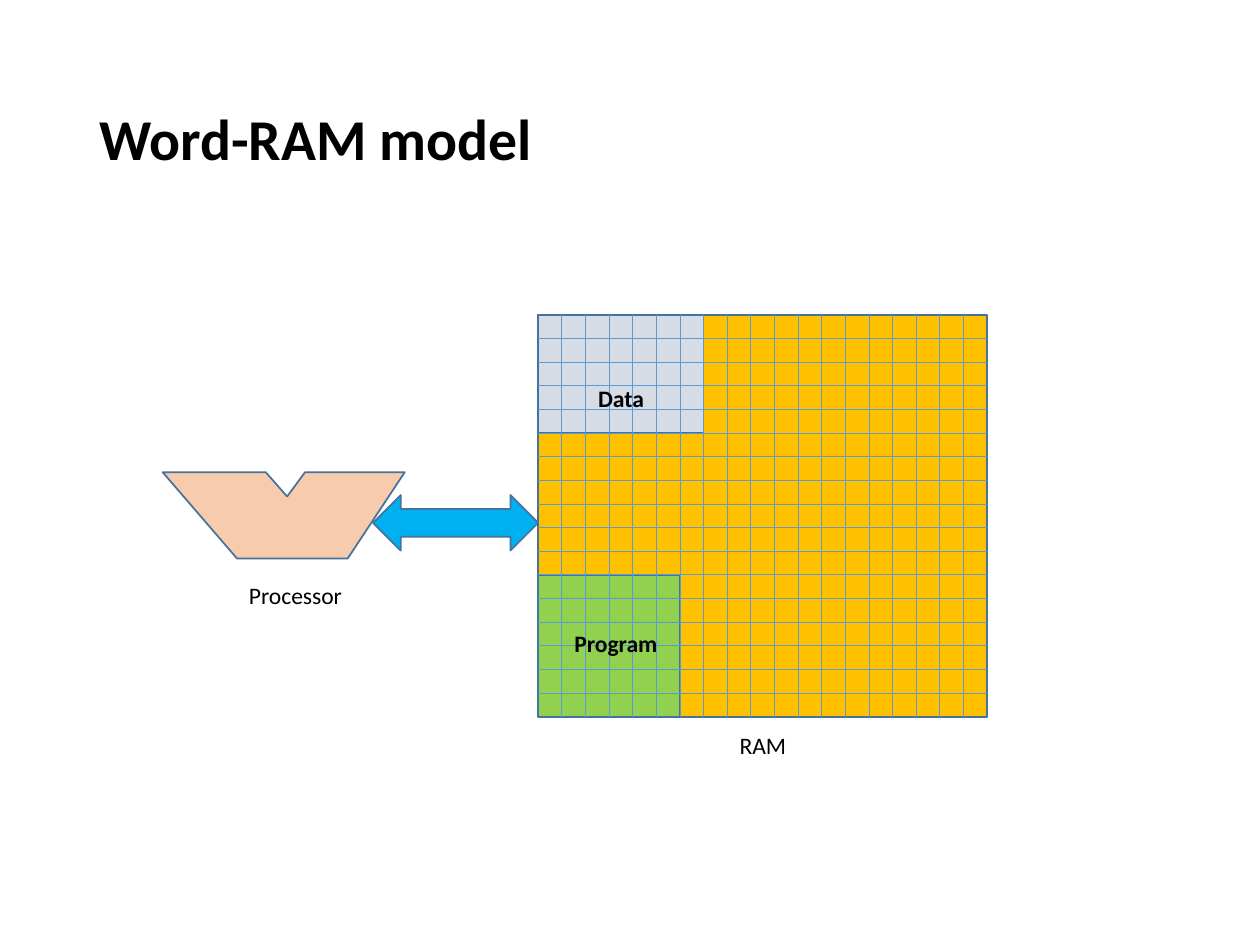
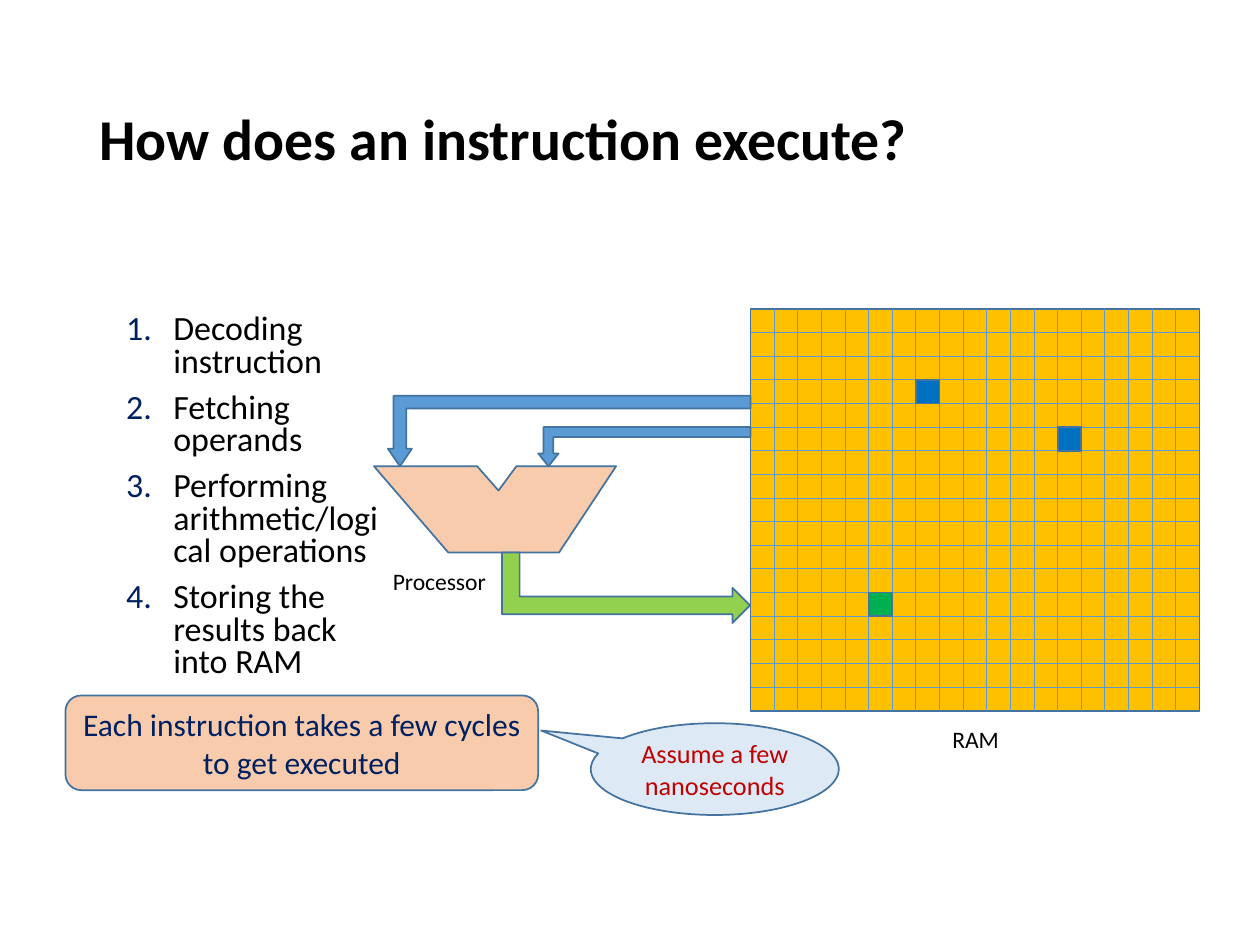
from lxml import etree
from pptx import Presentation
from pptx.dml.color import RGBColor
from pptx.enum.shapes import MSO_CONNECTOR, MSO_SHAPE
from pptx.enum.text import MSO_ANCHOR, MSO_AUTO_SIZE, PP_ALIGN
from pptx.oxml.ns import qn
from pptx.util import Cm, Pt

RECT, ROUND = MSO_SHAPE.RECTANGLE, MSO_SHAPE.ROUNDED_RECTANGLE
BOTH, BENT = MSO_SHAPE.LEFT_RIGHT_ARROW, MSO_SHAPE.BENT_UP_ARROW
CALL, LINE = MSO_SHAPE.OVAL_CALLOUT, MSO_CONNECTOR.STRAIGHT
LEFT, MID = PP_ALIGN.LEFT, PP_ALIGN.CENTER
GROW, FIXED = MSO_AUTO_SIZE.SHAPE_TO_FIT_TEXT, MSO_AUTO_SIZE.NONE

HUES = {
    "black": "000000", "navy": "002060", "red": "C00000",
    "edge": "43739E", "blue": "5B9BD5", "ram": "FFC000",
    "data": "D6DCE5", "code": "92D050", "peach": "F8CBAD",
    "bus": "00B0F0", "read": "0070C0", "save": "00B050", "pale": "BDD7EE",
}
RGB = {name: RGBColor.from_string(code) for name, code in HUES.items()}

# Text looks: font values, then colour and paragraph values
LOOKS = {
    "title": ({"size": Pt(33), "bold": True}, "black", {"alignment": LEFT, "line_spacing": 0.9}),
    "list": ({"size": Pt(19.4), "bold": False}, "black",
             {"alignment": LEFT, "line_spacing": 0.8, "space_before": Pt(7.5)}),
    "label": ({"size": Pt(13.5), "bold": False}, "black", {"alignment": LEFT}),
    "strong": ({"size": Pt(13.5), "bold": True}, "black", {"alignment": LEFT}),
    "note": ({"size": Pt(18), "bold": False}, "navy", {"alignment": MID}),
    "aside": ({"size": Pt(15), "bold": False}, "red", {"alignment": MID}),
}

# Memory grid and processor outline, in cm
COLS, ROWS = 19, 17
WIDE, HIGH = 9.05, 8.1
STEP = WIDE / COLS
CHIP = [(0, 0), (2.08, 0), (2.51, 0.49), (2.87, 0), (4.88, 0), (3.73, 1.74), (1.5, 1.74)]


def write(frame, lines, look):
    font, hue, para = LOOKS[look]
    frame.text = "\n".join(lines)
    for p in frame.paragraphs:
        for key, value in para.items():
            setattr(p, key, value)
        for run in p.runs:
            for key, value in {"name": "Calibri", **font}.items():
                setattr(run.font, key, value)
            run.font.color.rgb = RGB[hue]


def draw(slide, kind, at, hue, turn=0, bends=()):
    if kind is None:
        left, top = at
        path = [(Cm(left + x), Cm(top + y)) for x, y in CHIP]
        pen = slide.shapes.build_freeform(*path[0])
        pen.add_line_segments(path[1:], close=True)
        shape = pen.convert_to_shape()
    else:
        shape = slide.shapes.add_shape(kind, *map(Cm, at))
    for i, bend in enumerate(bends):
        shape.adjustments[i] = bend
    shape.rotation = turn
    shape.shadow.inherit = False
    shape.fill.solid()
    shape.fill.fore_color.rgb = RGB[hue]
    shape.line.color.rgb = RGB["edge"]
    shape.line.width = Pt(1)
    return shape


# Each label: words, left, top, width, look
# Each block: column, row, columns wide, rows high, hue
PAGES = [
    {"title": "Word-RAM model", "layout": 5, "ram": (10.85, 6.35), "chip": (3.28, 9.52),
     "blocks": [(0, 0, 7, 5, "data"), (0, 11, 6, 6, "code")],
     "labels": [("RAM", 14.66, 14.6, 1.47, "label"), ("Data", 11.81, 7.62, 1.45, "strong"),
                ("Program", 11.33, 12.55, 2.21, "strong"),
                ("Processor", 4.77, 11.58, 2.41, "label")]},
    {"title": "How does an instruction execute?", "layout": 1,
     "ram": (15.13, 6.23), "chip": (7.54, 9.4), "blocks": [],
     "labels": [("RAM", 18.95, 14.48, 1.47, "label"),
                ("Processor", 7.67, 11.3, 2.41, "label")]},
]

deck = Presentation()
deck.slide_width, deck.slide_height = Cm(25.4), Cm(19.05)
slides = []

for page in PAGES:
    slide = deck.slides.add_slide(deck.slide_layouts[page["layout"]])
    slides.append(slide)

    # Title
    title = slide.shapes.title
    title.left, title.top, title.width, title.height = map(Cm, (1.75, 1.02, 21.9, 3.68))
    title.text_frame.auto_size = FIXED
    title.text_frame.vertical_anchor = MSO_ANCHOR.MIDDLE
    write(title.text_frame, [page["title"]], "title")

    # Memory with its blocks
    left, top = page["ram"]
    draw(slide, RECT, (left, top, WIDE, HIGH), "ram")
    for col, row, wide, high, hue in page["blocks"]:
        spot = (left + col * STEP, top + row * STEP, wide * STEP, high * STEP)
        draw(slide, RECT, spot, hue)

    # Grid lines
    rules = [(left + i * STEP, top, left + i * STEP, top + HIGH) for i in range(1, COLS)]
    rules += [(left, top + i * STEP, left + WIDE, top + i * STEP) for i in range(1, ROWS)]
    for ends in rules:
        rule = slide.shapes.add_connector(LINE, *map(Cm, ends))
        rule.line.color.rgb = RGB["blue"]
        rule.line.width = Pt(0.5)
        etree.SubElement(rule.element.spPr, qn("a:effectLst"))

    # Processor and labels
    draw(slide, None, page["chip"], "peach")
    for words, x, y, wide, look in page["labels"]:
        frame = slide.shapes.add_textbox(Cm(x), Cm(y), Cm(wide), Cm(0.84)).text_frame
        frame.word_wrap = False
        frame.auto_size = GROW
        write(frame, [words], look)

model, steps = slides

# Link between processor and memory
draw(model, BOTH, (7.52, 9.98, 3.33, 1.12), "bus")

# Numbered steps
body = steps.placeholders[1]
body.left, body.top, body.width, body.height = map(Cm, (2.29, 6.22, 5.69, 7.87))
body.text_frame.auto_size = FIXED
write(body.text_frame, ["Decoding instruction", "Fetching operands",
                        "Performing arithmetic/logical operations",
                        "Storing the results back into RAM"], "list")
for p in body.text_frame.paragraphs:
    props = p._p.get_or_add_pPr()
    props.set("marL", str(Cm(0.95)))
    props.set("indent", str(-Cm(0.95)))
    tint = etree.SubElement(props, qn("a:buClr"))
    etree.SubElement(tint, qn("a:srgbClr"), val=HUES["navy"])
    etree.SubElement(props, qn("a:buFont"), typeface="+mj-lt")
    etree.SubElement(props, qn("a:buAutoNum"), type="arabicPeriod")

# Arrows for the operands and the result
draw(steps, BENT, (7.82, 7.98, 7.31, 1.42), "blue", 180, (0.18, 0.17, 0.25))
draw(steps, BENT, (10.85, 8.61, 4.28, 0.79), "blue", 180, (0.25, 0.26, 0.33))
draw(steps, BENT, (11.91, 9.35, 1.42, 5), "code", 90)

# Cells in use
left, top = PAGES[1]["ram"]
for col, row, hue in [(7, 3, "read"), (13, 5, "read"), (5, 12, "save")]:
    draw(steps, RECT, (left + col * STEP, top + row * STEP, STEP, STEP), hue)

# Remarks on time
note = draw(steps, ROUND, (1.32, 14.02, 9.53, 1.91), "peach")
write(note.text_frame, ["Each instruction takes a few cycles to get executed"], "note")
aside = draw(steps, CALL, (11.91, 14.58, 5, 1.85), "pale", 0, (-0.7, -0.42))
write(aside.text_frame, ["Assume a few nanoseconds"], "aside")
shade = aside.element.spPr.find(qn("a:solidFill"))[0]
etree.SubElement(shade, qn("a:alpha"), val="51000")

deck.save("out.pptx")
